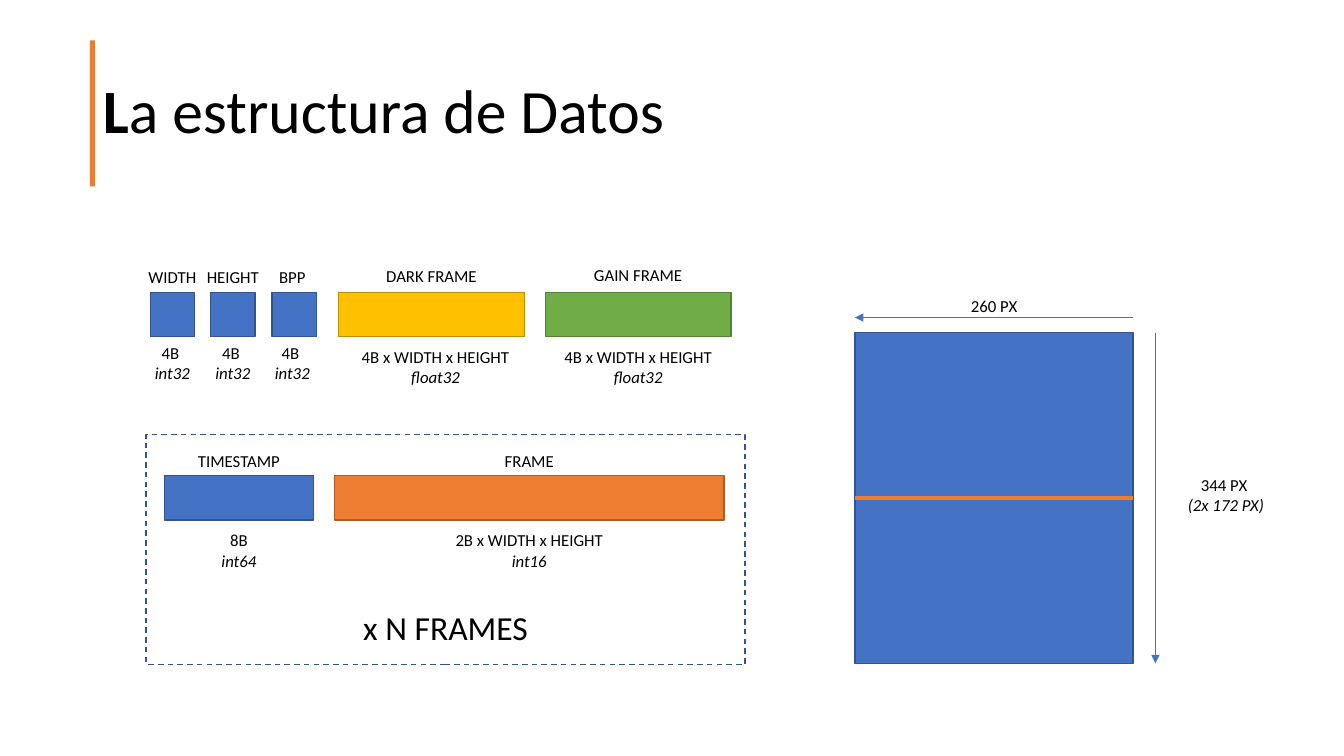
from lxml.etree import SubElement
from pptx import Presentation
from pptx.dml.color import RGBColor
from pptx.enum.dml import MSO_LINE
from pptx.enum.shapes import MSO_CONNECTOR, MSO_SHAPE
from pptx.enum.text import MSO_ANCHOR, MSO_AUTO_SIZE, PP_ALIGN
from pptx.oxml.ns import qn
from pptx.util import Inches, Pt

COLORS = {
    "text": "000000", "white": "FFFFFF",
    "blue": "4472C4", "blue_edge": "325491",
    "orange": "ED7D31", "orange_edge": "AF5C24",
    "yellow": "FFC000", "yellow_edge": "BD8E00",
    "green": "70AD47", "green_edge": "538035",
}
BLOCK_HEIGHT = 0.44

# left offset, width, color, name, size, type, name lift, detail drop, name shift, detail shift
HEADER_FIELDS = [
    (0, 0.44, "blue", "WIDTH", "4B ", "int32", 0.3, 0.45, 0, 0),
    (0.6, 0.44, "blue", "HEIGHT", "4B ", "int32", 0.3, 0.45, 0, 0),
    (1.21, 0.44, "blue", "BPP", "4B ", "int32", 0.3, 0.45, -0.02, -0.02),
    (1.87, 1.84, "yellow", "DARK FRAME", "4B x WIDTH x HEIGHT", "float32", 0.31, 0.49, 0, 0.04),
    (3.92, 1.84, "green", "GAIN FRAME", "4B x WIDTH x HEIGHT", "float32", 0.32, 0.49, 0, 0),
]
FRAME_FIELDS = [
    (0.18, 1.48, "blue", "TIMESTAMP", "8B", "int64", 0.3, 0.49, 0, 0),
    (1.87, 3.86, "orange", "FRAME", "2B x WIDTH x HEIGHT", "int16", 0.3, 0.49, 0, 0),
]


def rgb(name):
    return RGBColor.from_string(COLORS[name])


def set_font(font, size, **formats):
    values = {"name": "Calibri", "size": Pt(size), **formats}
    for attribute, value in values.items():
        setattr(font, attribute, value)
    font.color.rgb = rgb("text")


def add_block(slide, box, fill, edge=None):
    shape = slide.shapes.add_shape(MSO_SHAPE.RECTANGLE, *map(Inches, box))
    shape.shadow.inherit = False
    shape.fill.solid()
    shape.fill.fore_color.rgb = rgb(fill)
    if edge:
        shape.line.color.rgb = rgb(edge)
        shape.line.width = Pt(1)
    else:
        shape.line.fill.background()
    return shape


def add_label(slide, center, top, width, text, detail=None, size=12):
    """Centered label with an optional second line in italics."""
    lines = [text, detail] if detail else [text]
    height = 0.5 if detail or size > 12 else 0.3
    shape = slide.shapes.add_textbox(*map(Inches, (center - width / 2, top, width, height)))
    frame = shape.text_frame
    frame.word_wrap = True
    frame.auto_size = MSO_AUTO_SIZE.SHAPE_TO_FIT_TEXT
    for index, line in enumerate(lines):
        paragraph = frame.paragraphs[0] if index == 0 else frame.add_paragraph()
        paragraph.alignment = PP_ALIGN.CENTER
        run = paragraph.add_run()
        run.text = line
        set_font(run.font, size, italic=index == 1)


def add_line(slide, start, end, color, width, arrow=False):
    connector = slide.shapes.add_connector(MSO_CONNECTOR.STRAIGHT, *map(Inches, start + end))
    connector.line.color.rgb = rgb(color)
    connector.line.width = Pt(width)
    if arrow:
        SubElement(connector.line._get_or_add_ln(), qn("a:tailEnd"), type="triangle")
    SubElement(connector._element.spPr, qn("a:effectLst"))
    return connector


def add_title(slide, box):
    left, top, width, height = box
    title = slide.shapes.title
    title.left, title.top, title.width, title.height = map(Inches, box)
    frame = title.text_frame
    frame.auto_size = MSO_AUTO_SIZE.NONE
    frame.vertical_anchor = MSO_ANCHOR.MIDDLE
    paragraph = frame.paragraphs[0]
    paragraph.alignment = PP_ALIGN.LEFT
    paragraph.line_spacing = 0.9
    for text, bold in [("L", True), ("a estructura de Datos", False)]:
        run = paragraph.add_run()
        run.text = text
        set_font(run.font, 44, bold=bold)
    add_block(slide, (left - 0.03, top, 0.05, height), "orange")


def add_fields(slide, left, top, fields):
    """Row of data fields, each named above and described below."""
    for offset, width, color, name, size, kind, lift, drop, name_shift, detail_shift in fields:
        add_block(slide, (left + offset, top, width, BLOCK_HEIGHT), color, color + "_edge")
        center = left + offset + width / 2
        name_width, detail_width = (0.86, 0.86) if width < 1 else (1.76, 2.76)
        add_label(slide, center + name_shift, top - lift, name_width, name)
        add_label(slide, center + detail_shift, top + drop, detail_width, size, kind)


def add_frame_group(slide, box):
    left, top, width, height = box
    group = add_block(slide, box, "white", "blue_edge")
    group.line.dash_style = MSO_LINE.DASH
    add_fields(slide, left, top + 0.41, FRAME_FIELDS)
    add_label(slide, left + width / 2, top + 1.66, 2.26, "x N FRAMES", size=24)


def add_sensor(slide, box):
    left, top, width, height = box
    right, bottom = left + width, top + height
    middle = top + height / 2
    sensor = add_block(slide, box, "blue", "blue_edge")
    # Line between the two halves
    divider = add_line(slide, (left, middle), (right, middle), "orange", 3)
    divider.begin_connect(sensor, 1)
    divider.end_connect(sensor, 3)
    # Dimensions
    add_line(slide, (right + 0.22, top), (right + 0.22, bottom), "blue", 0.5, arrow=True)
    add_line(slide, (right, top - 0.15), (left, top - 0.15), "blue", 0.5, arrow=True)
    add_label(slide, left + width / 2, top - 0.42, 1.76, "260 PX")
    add_label(slide, right + 0.92, middle - 0.28, 1.76, "344 PX ", "(2x 172 PX)")


def main():
    presentation = Presentation()
    presentation.slide_width = Inches(13.33)
    presentation.slide_height = Inches(7.5)
    slide = presentation.slides.add_slide(presentation.slide_layouts[5])
    add_title(slide, (0.92, 0.4, 11.5, 1.45))
    add_fields(slide, 1.49, 2.9, HEADER_FIELDS)
    add_frame_group(slide, (1.45, 4.31, 5.94, 2.28))
    add_sensor(slide, (8.48, 3.3, 2.76, 3.28))
    presentation.save("out.pptx")


if __name__ == "__main__":
    main()
